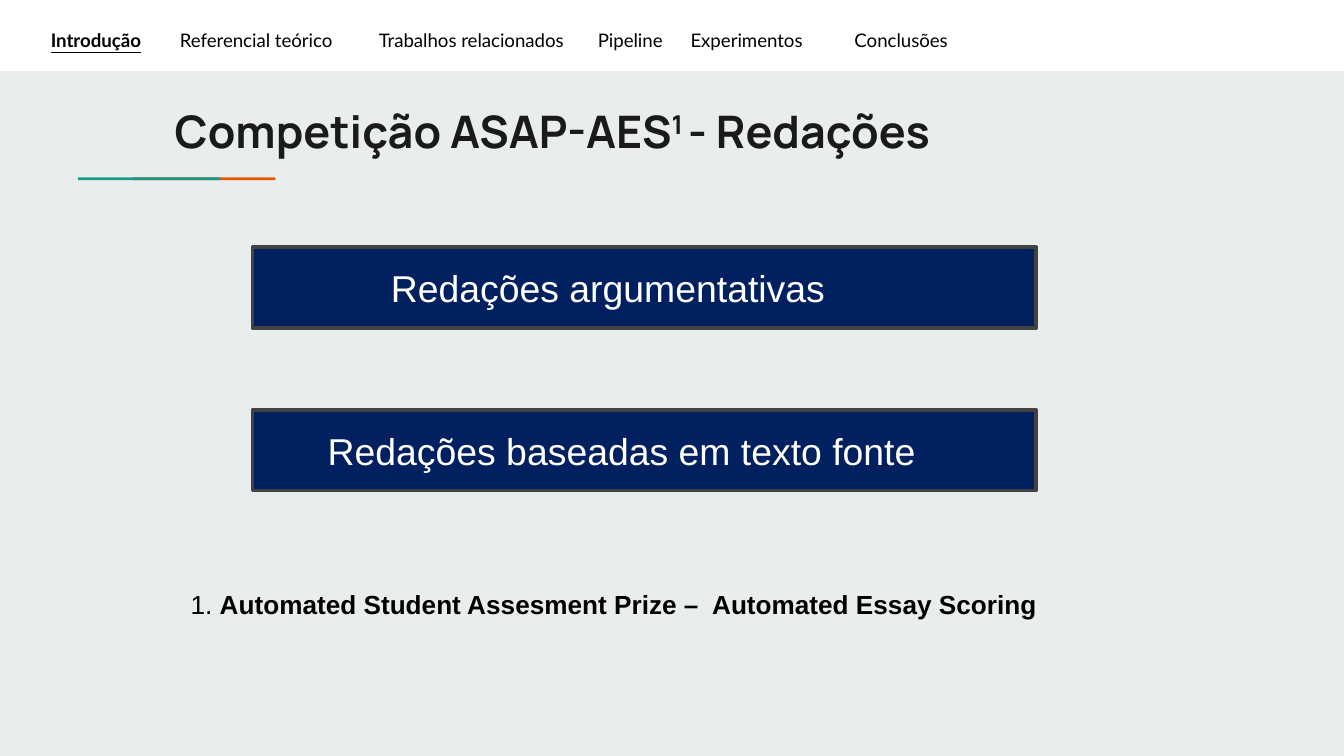
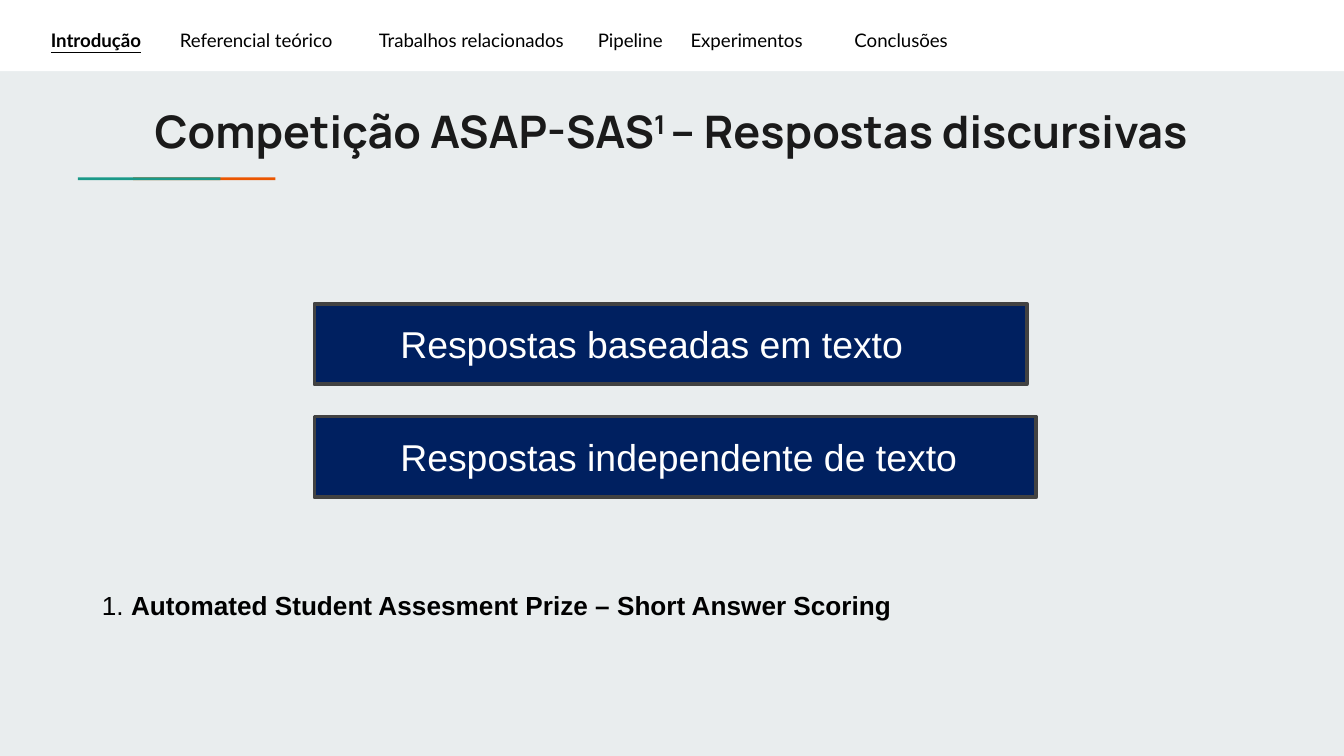
from lxml.etree import SubElement
from pptx import Presentation
from pptx.dml.color import RGBColor
from pptx.enum.shapes import MSO_SHAPE
from pptx.enum.text import MSO_ANCHOR, MSO_AUTO_SIZE, PP_ALIGN
from pptx.oxml.ns import qn
from pptx.util import Inches, Pt

# Colours
BACKGROUND = RGBColor(0xE9, 0xED, 0xEE)
WHITE = RGBColor(0xFF, 0xFF, 0xFF)
BLACK = RGBColor(0x00, 0x00, 0x00)
TITLE_INK = RGBColor(0x1A, 0x1A, 0x1A)
NAVY = RGBColor(0x00, 0x20, 0x60)
BORDER = RGBColor(0x42, 0x42, 0x42)
ORANGE = RGBColor(0xEB, 0x56, 0x00)
TEAL = RGBColor(0x1A, 0x99, 0x88)

# Navigation: current section, then the others with their tab stops in inches
CURRENT_SECTION = "Introdução"
OTHER_SECTIONS = [
    ("Referencial teórico", 0.96),
    ("Trabalhos relacionados", 2.44),
    ("Pipeline", 4.07),
    ("Experimentos", 4.76),
    ("Conclusões", 5.98),
]


def add_text(paragraph, text, font="Arial", size=14, color=BLACK,
             bold=False, underline=False, baseline=0):
    """Append a formatted run; baseline is a percentage."""
    run = paragraph.add_run()
    run.text = text
    run.font.name = font
    run.font.size = Pt(size)
    run.font.color.rgb = color
    run.font.bold = bold
    run.font.underline = underline
    if baseline:
        run._r.get_or_add_rPr().set("baseline", str(baseline * 1000))


class Deck:
    def __init__(self):
        self.presentation = Presentation()
        self.presentation.slide_width = Inches(10)
        self.presentation.slide_height = Inches(10) * 9 // 16
        fill = self.presentation.slide_master.background.fill
        fill.solid()
        fill.fore_color.rgb = BACKGROUND
        self.slide = None

    def add_slide(self):
        """Start a slide with the band, accent line and navigation."""
        layout = self.presentation.slide_layouts.get_by_name("Title Only")
        self.slide = self.presentation.slides.add_slide(layout)
        self.rectangle(0, 0, 10, 0.53, WHITE)
        for left, color in ((0.99, ORANGE), (0.58, TEAL)):
            self.rectangle(left, 1.32, 1.06, 0.02, color)
        self.navigation()

    def rectangle(self, left, top, width, height, color):
        shape = self.slide.shapes.add_shape(
            MSO_SHAPE.RECTANGLE, Inches(left), Inches(top),
            Inches(width), Inches(height))
        shape.shadow.inherit = False
        shape.fill.solid()
        shape.fill.fore_color.rgb = color
        shape.line.fill.background()
        return shape

    def text_box(self, left, top, width, height, margin=0.05):
        shape = self.slide.shapes.add_textbox(
            Inches(left), Inches(top), Inches(width), Inches(height))
        frame = shape.text_frame
        frame.word_wrap = True
        frame.margin_top = frame.margin_bottom = Inches(margin)
        return frame.paragraphs[0]

    def navigation(self):
        paragraph = self.text_box(0.28, 0.13, 7.37, 0.3, margin=0.1)
        tab_list = SubElement(paragraph._p.get_or_add_pPr(), qn("a:tabLst"))
        for _, position in OTHER_SECTIONS:
            SubElement(tab_list, qn("a:tab"), pos=str(Inches(position)), algn="l")
        add_text(paragraph, CURRENT_SECTION, font="Lato", size=10,
                 bold=True, underline=True)
        others = "".join("\t" + name for name, _ in OTHER_SECTIONS)
        add_text(paragraph, others, font="Lato", size=10)

    def title(self, left, before, after):
        """Title with a superscript note mark between its two parts."""
        shape = self.slide.shapes.title
        shape.left, shape.top = Inches(left), Inches(0.67)
        shape.width, shape.height = Inches(9.41), Inches(0.54)
        frame = shape.text_frame
        frame.word_wrap = True
        frame.auto_size = MSO_AUTO_SIZE.NONE
        frame.vertical_anchor = MSO_ANCHOR.TOP
        frame.margin_top = frame.margin_bottom = Inches(0.1)
        paragraph = frame.paragraphs[0]
        paragraph.alignment = PP_ALIGN.LEFT
        for text, baseline in ((before, 0), ("1 ", 30), (after, 0)):
            add_text(paragraph, text, font="Manrope", size=24,
                     color=TITLE_INK, bold=True, baseline=baseline)

    def category(self, left, top, width, text, indent):
        shape = self.rectangle(left, top, width, 0.6, NAVY)
        shape.line.color.rgb = BORDER
        shape.line.width = Pt(2)
        frame = shape.text_frame
        frame.word_wrap = True
        frame.vertical_anchor = MSO_ANCHOR.MIDDLE
        paragraph = frame.paragraphs[0]
        paragraph.alignment = PP_ALIGN.LEFT
        paragraph._p.get_or_add_pPr().set("marL", str(Inches(indent)))
        add_text(paragraph, text, size=20, color=WHITE)

    def footnote(self, left, top, text):
        paragraph = self.text_box(left, top, 9.16, 0.4)
        add_text(paragraph, "1. ")
        add_text(paragraph, text, bold=True)


def main():
    deck = Deck()

    # Essays
    deck.add_slide()
    deck.title(1.2, "Competição ASAP-AES", "- Redações")
    deck.category(1.88, 1.84, 5.83, "Redações argumentativas", indent=0.93)
    deck.category(1.88, 3.05, 5.83, "Redações baseadas em texto fonte", indent=0.46)
    deck.footnote(1.32, 4.33,
                  "Automated Student Assesment Prize –  Automated Essay Scoring")

    # Short answers
    deck.add_slide()
    deck.title(1.05, "Competição ASAP-SAS", "– Respostas discursivas")
    deck.category(2.34, 2.26, 5.3, "Respostas baseadas em texto", indent=0.54)
    deck.category(2.34, 3.1, 5.37, "Respostas independente de texto", indent=0.54)
    deck.footnote(0.66, 4.34,
                  "Automated Student Assesment Prize – Short Answer Scoring")

    deck.presentation.save("out.pptx")


if __name__ == "__main__":
    main()
